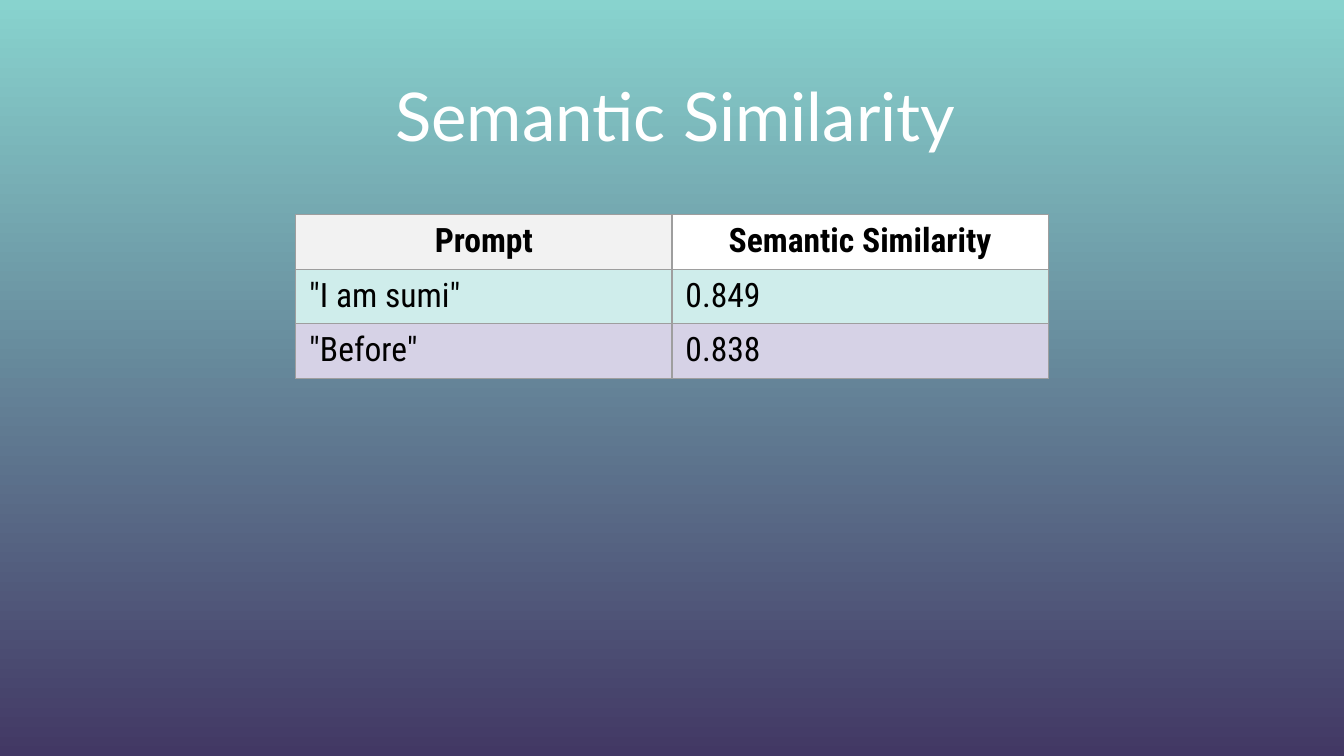
import pptx
import pptx.dml.color
import pptx.enum.text
import pptx.oxml
import pptx.oxml.ns
import pptx.util
from pptx.util import Cm, Pt

TITLE = "Semantic Similarity"
ROWS = [
    ("Prompt", "Semantic Similarity"),
    ('"I am sumi"', "0.849"),
    ('"Before"', "0.838"),
]
COLORS = {
    "top": "88D3CE",
    "bottom": "423864",
    "title": "FFFFFF",
    "text": "000000",
    "border": "9E9E9E",
}
ROW_FILLS = [("F2F2F2", "FFFFFF"), ("CFEDEB", "CFEDEB"), ("D6D2E6", "D6D2E6")]
COL_WIDTH = Cm(7.11)
ROW_HEIGHT = Cm(1.03)
CENTER = pptx.enum.text.PP_ALIGN.CENTER
LEFT = pptx.enum.text.PP_ALIGN.LEFT


def rgb(value):
    return pptx.dml.color.RGBColor.from_string(value)


def style_text(p, font, size, color, align, bold=False):
    p.alignment = align
    for r in p.runs:
        r.font.name = font
        r.font.size = Pt(size)
        r.font.bold = bold
        r.font.color.rgb = rgb(color)


def add_borders(cell):
    tc_pr = cell._tc.get_or_add_tcPr()
    for side in ("lnL", "lnR", "lnT", "lnB"):
        tc_pr.append(pptx.oxml.parse_xml(
            f'<a:{side} {pptx.oxml.ns.nsdecls("a")} w="{Pt(0.75)}"><a:solidFill>'
            f'<a:srgbClr val="{COLORS["border"]}"/></a:solidFill></a:{side}>'))


prs = pptx.Presentation()
prs.slide_width = Cm(25.4)
prs.slide_height = Cm(14.29)
s = prs.slides.add_slide(prs.slide_layouts[6])

fill = s.background.fill
fill.gradient()
fill.gradient_angle = 270
for stop, name in zip(fill.gradient_stops, ("top", "bottom")):
    stop.color.rgb = rgb(COLORS[name])

tf = s.shapes.add_textbox(Cm(1.4), Cm(1.24), Cm(22.73), Cm(1.85)).text_frame
tf.word_wrap = True
tf.vertical_anchor = pptx.enum.text.MSO_ANCHOR.MIDDLE
tf.margin_left = tf.margin_right = tf.margin_top = tf.margin_bottom = Cm(0.25)
tf.text = TITLE
style_text(tf.paragraphs[0], "Lato", 36, COLORS["title"], CENTER)

width = COL_WIDTH * len(ROWS[0])
table = s.shapes.add_table(
    len(ROWS), len(ROWS[0]), (prs.slide_width - width) // 2, Cm(4.06),
    width, ROW_HEIGHT * len(ROWS)).table
for i, (row, fills) in enumerate(zip(ROWS, ROW_FILLS)):
    header = i == 0
    for j, (text, color) in enumerate(zip(row, fills)):
        cell = table.cell(i, j)
        add_borders(cell)
        cell.fill.solid()
        cell.fill.fore_color.rgb = rgb(color)
        cell.text_frame.text = text
        style_text(cell.text_frame.paragraphs[0], "Roboto Condensed", 18,
                   COLORS["text"], CENTER if header else LEFT, header)

prs.save("out.pptx")
